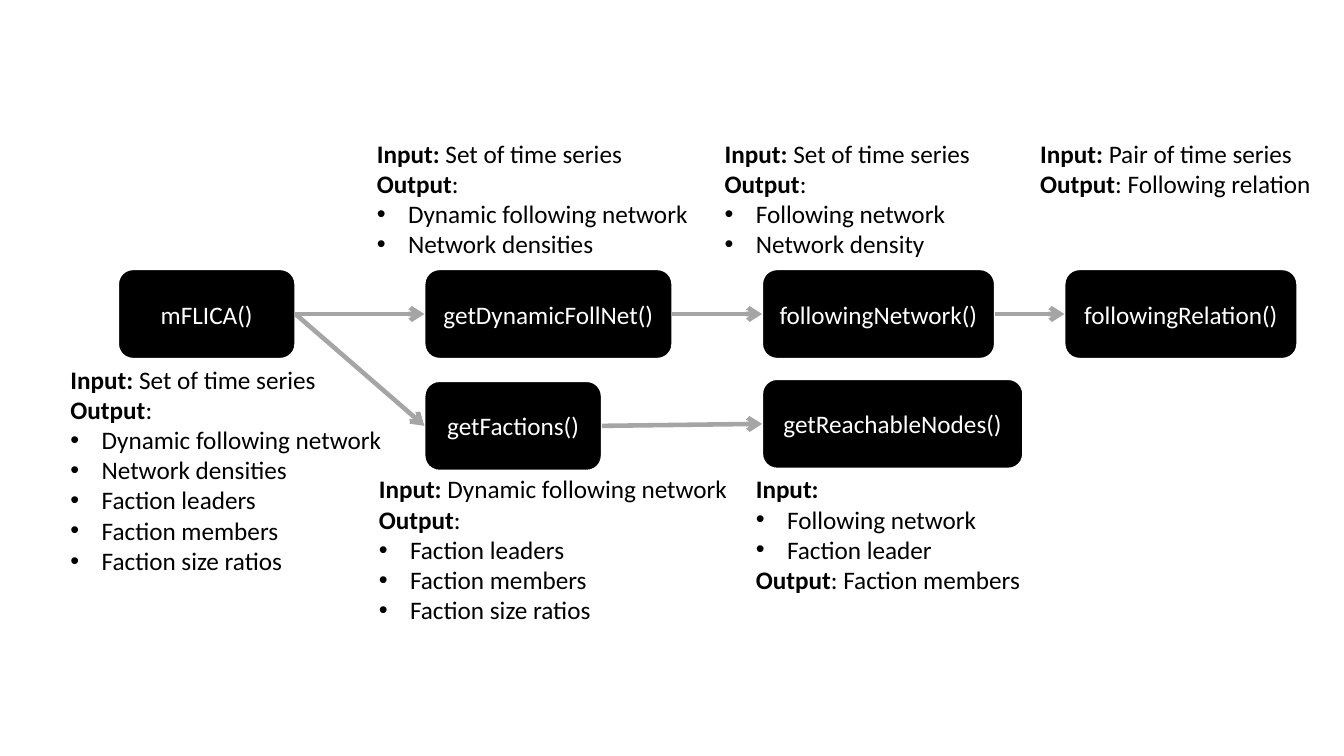
from dataclasses import dataclass

from lxml import etree
from pptx import Presentation
from pptx import util as u
from pptx.dml.color import RGBColor
from pptx.enum import shapes, text as t
from pptx.oxml.ns import qn


@dataclass(frozen=True)
class Theme:
    """Colours, type and line sizes of the slide."""
    font: str = "Calibri"
    size: float = 18
    ink: str = "000000"
    paper: str = "FFFFFF"
    arrow: str = "A5A5A5"
    outline: float = 1.5
    arrow_width: float = 3.25
    indent: float = 0.31


THEME = Theme()
WIDTH, HEIGHT = u.Inches(13.33), u.Inches(7.5)
COLUMNS = {"start": 8.78, "detect": 31.58, "network": 56.7, "relation": 79.2}
TOP_ROW, NODE_HEIGHT = 35.6, 11.87
ABOVE, BELOW = -18, NODE_HEIGHT

SERIES_INPUT = "*Input: *Set of time series|*Output*:"
DYNAMIC_NETWORK = "• Dynamic following network\n• Network densities"
FACTIONS = "• Faction leaders\n• Faction members\n• Faction size ratios"

# name: (node left, top, width), (note offset x, offset y, width, height), note, wraps
STEPS = {
    "mFLICA()": (
        (COLUMNS["start"], TOP_ROW, 13.2), (-4.28, BELOW, 24.9, 29.6),
        f"{SERIES_INPUT}\n{DYNAMIC_NETWORK}\n{FACTIONS}", False),
    "getDynamicFollNet()": (
        (COLUMNS["detect"], TOP_ROW, 18.45), (-4.28, ABOVE, 24.9, 17.47),
        f"{SERIES_INPUT}\n{DYNAMIC_NETWORK}", False),
    "followingNetwork()": (
        (COLUMNS["network"], TOP_ROW, 17.33), (-3.52, ABOVE, 19.95, 17.47),
        f"{SERIES_INPUT}\n• Following network\n• Network density", False),
    "followingRelation()": (
        (COLUMNS["relation"], TOP_ROW, 17.33), (-2.55, ABOVE, 21.9, 9.47),
        "*Input: *Pair of time series\n*Output*: Following relation", False),
    "getFactions()": (
        (COLUMNS["detect"], 50.4, 13.2), (-4.13, 11.6, 27.68, 21.6),
        f"*Input: *Dynamic following network\n*Output*:\n{FACTIONS}", False),
    "getReachableNodes()": (
        (COLUMNS["network"], 50.13, 19.43), (-1.2, BELOW, 32.4, 17.47),
        "*Input:*\n• Following network\n• Faction leader\n*Output*: Faction members", True),
}
CALLS = [
    ("mFLICA()", "getDynamicFollNet()"),
    ("getDynamicFollNet()", "followingNetwork()"),
    ("followingNetwork()", "followingRelation()"),
    ("mFLICA()", "getFactions()"),
    ("getFactions()", "getReachableNodes()"),
]


def place(left, top, width, height):
    """Turn percentages of the slide into lengths."""
    return [u.Emu(round(share * side / 100)) for share, side in
            ((left, WIDTH), (top, HEIGHT), (width, WIDTH), (height, HEIGHT))]


def add_bullet(para):
    """Give a paragraph a hanging bullet."""
    props = para._p.get_or_add_pPr()
    indent = u.Inches(THEME.indent)
    props.set("marL", str(indent))
    props.set("indent", str(-indent))
    etree.SubElement(props, qn("a:buFont")).set("typeface", "Arial")
    etree.SubElement(props, qn("a:buChar")).set("char", "•")


def write(frame, content, color=THEME.ink, align=t.PP_ALIGN.LEFT, size=THEME.size):
    """Write lines where *stars* mark bold, | a line break and • a bullet."""
    for number, line in enumerate(content.split("\n")):
        para = frame.add_paragraph() if number else frame.paragraphs[0]
        para.alignment = align
        if line.startswith("• "):
            add_bullet(para)
        for order, piece in enumerate(line.removeprefix("• ").split("*")):
            for part, words in enumerate(piece.split("|")):
                if part:
                    para.add_line_break()
                if words:
                    span = para.add_run()
                    span.text = words
                    span.font.name = THEME.font
                    span.font.size = u.Pt(size)
                    span.font.bold = order % 2 == 1
                    span.font.color.rgb = RGBColor.from_string(color)


def draw_node(page, box, name):
    """Draw a function as a rounded black box."""
    node = page.shapes.add_shape(shapes.MSO_SHAPE.ROUNDED_RECTANGLE, *place(*box))
    node.shadow.inherit = False
    node.fill.solid()
    node.fill.fore_color.rgb = RGBColor.from_string(THEME.ink)
    node.line.color.rgb = RGBColor.from_string(THEME.paper)
    node.line.width = u.Pt(THEME.outline)
    node.text_frame.word_wrap = True
    node.text_frame.vertical_anchor = t.MSO_ANCHOR.MIDDLE
    write(node.text_frame, name, color=THEME.paper, align=t.PP_ALIGN.CENTER)
    return node


def draw_note(page, box, content, wraps):
    """Draw the inputs and outputs of a function."""
    frame = page.shapes.add_textbox(*place(*box)).text_frame
    frame.word_wrap = wraps
    frame.auto_size = t.MSO_AUTO_SIZE.SHAPE_TO_FIT_TEXT
    write(frame, content)


def draw_step(page, box, note_box, content, wraps, name):
    """Draw a function with its note placed relative to it."""
    left, top, width = box
    shift_x, shift_y, note_width, note_height = note_box
    draw_note(page, (left + shift_x, top + shift_y, note_width, note_height), content, wraps)
    return draw_node(page, (left, top, width, NODE_HEIGHT), name)


def draw_call(page, caller, callee):
    """Draw an arrow from the right of one node to the left of another."""
    arrow = page.shapes.add_connector(shapes.MSO_CONNECTOR.STRAIGHT, 0, 0, 0, 0)
    arrow.begin_connect(caller, 3)
    arrow.end_connect(callee, 1)
    arrow.line.color.rgb = RGBColor.from_string(THEME.arrow)
    arrow.line.width = u.Pt(THEME.arrow_width)
    etree.SubElement(arrow.line._get_or_add_ln(), qn("a:tailEnd")).set("type", "arrow")
    etree.SubElement(arrow._element.spPr, qn("a:effectLst"))


def main():
    """Build the function diagram and save it."""
    deck = Presentation()
    deck.slide_width, deck.slide_height = WIDTH, HEIGHT
    page = deck.slides.add_slide(deck.slide_layouts[6])
    nodes = {name: draw_step(page, *step, name) for name, step in STEPS.items()}
    for caller, callee in CALLS:
        draw_call(page, nodes[caller], nodes[callee])
    deck.save("out.pptx")


if __name__ == "__main__":
    main()
